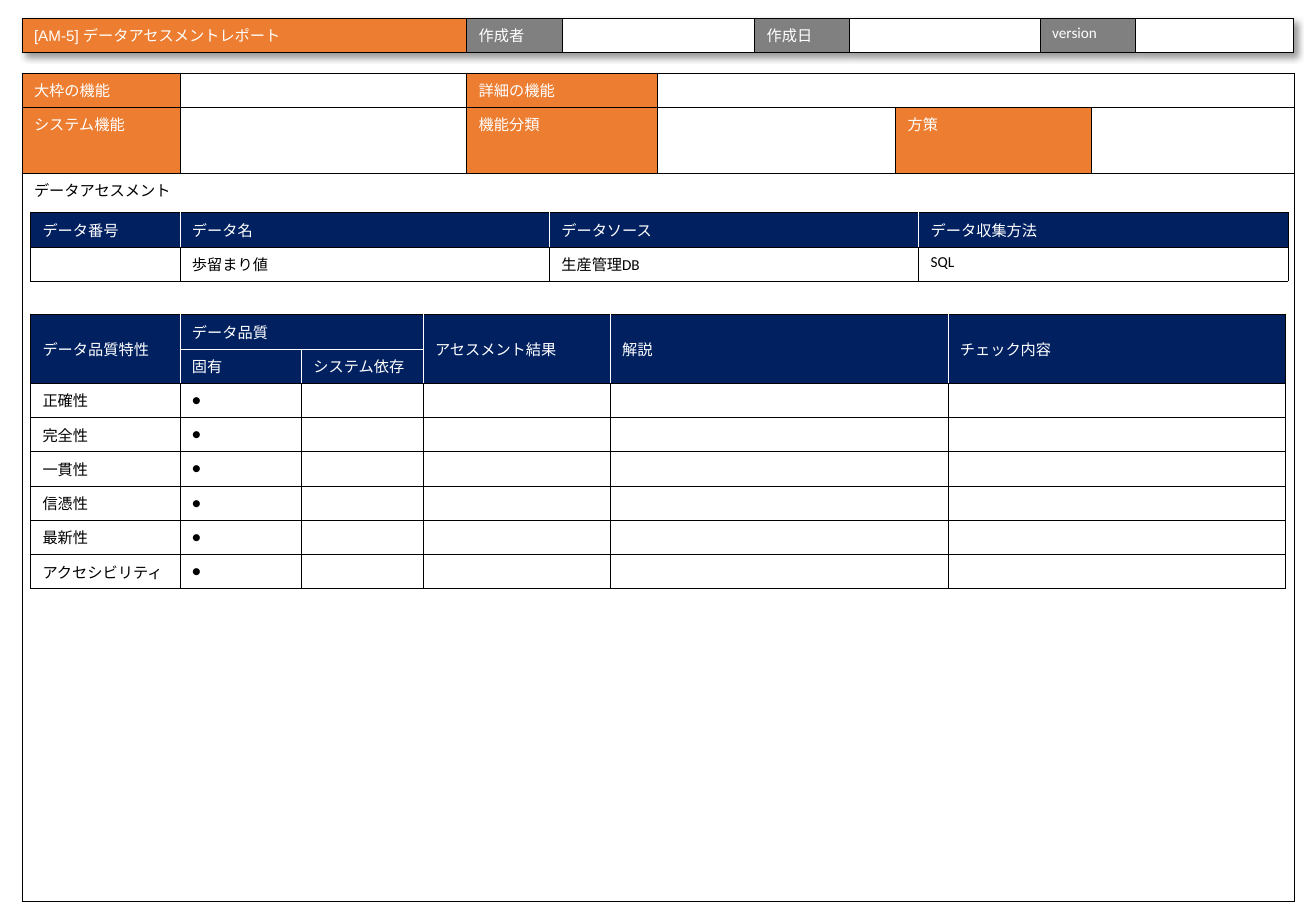
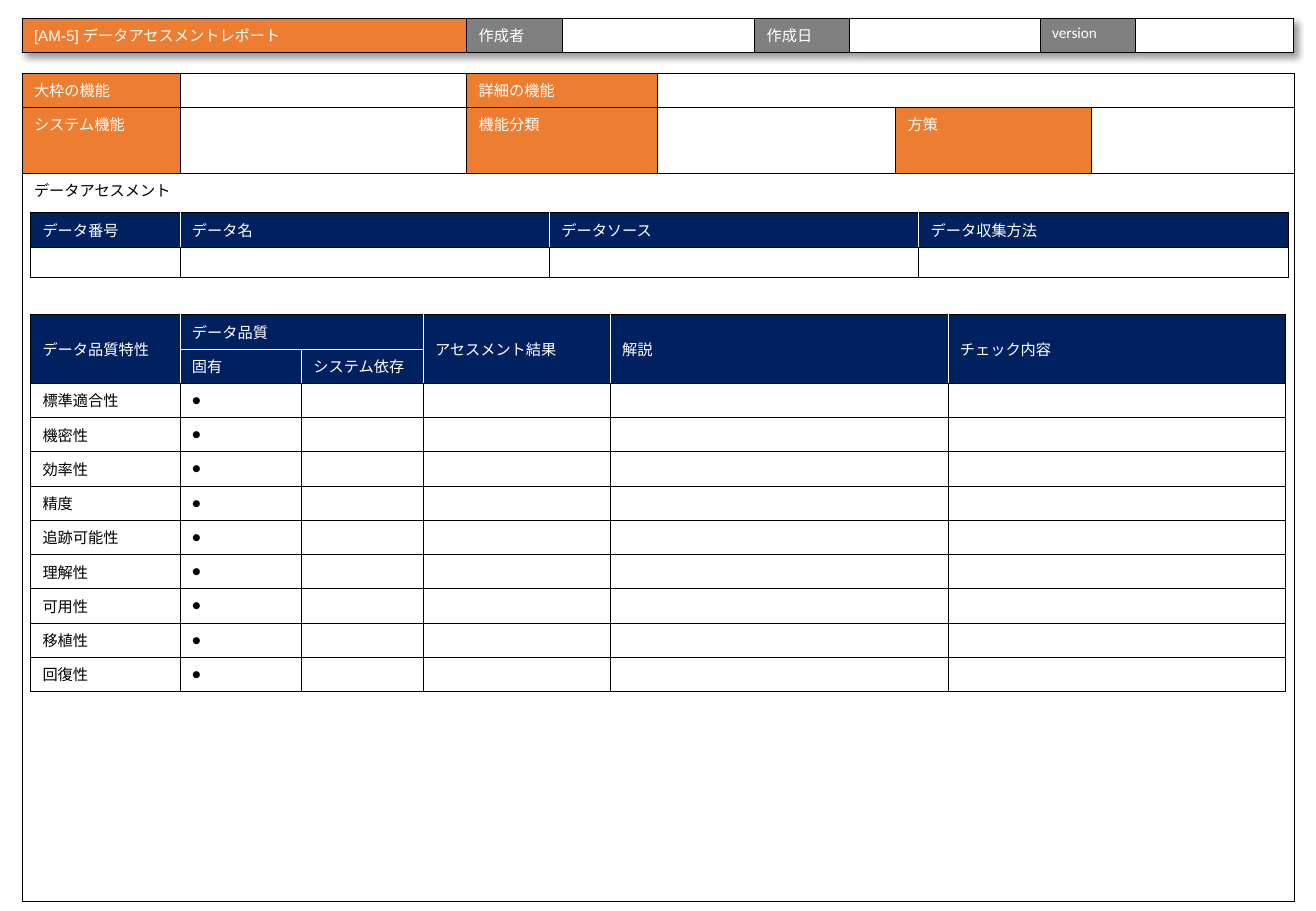
from dataclasses import dataclass
from typing import NamedTuple, Optional

import pptx
import pptx.dml.color
import pptx.enum.lang
import pptx.enum.text
import pptx.oxml
import pptx.oxml.ns
import pptx.shapes.graphfrm
import pptx.slide
import pptx.table
import pptx.util
from lxml import etree

Inches = pptx.util.Inches
Color = pptx.dml.color.RGBColor
Anchor = pptx.enum.text.MSO_ANCHOR
qn = pptx.oxml.ns.qn


@dataclass(frozen=True)
class Theme:
    orange: str = "ED7D31"
    gray: str = "808080"
    navy: str = "002060"
    white: str = "FFFFFF"
    black: str = "000000"
    font: str = "Calibri"
    title_font: str = "Arial"
    size: float = 9
    border: float = 0.25
    row: float = 0.28
    empty_row: float = 0.25


THEME = Theme()


class Edges(NamedTuple):
    L: str = THEME.black
    R: str = THEME.black
    T: str = THEME.black
    B: str = THEME.black


class Entry(NamedTuple):
    text: str = ""
    fill: Optional[str] = None
    color: str = THEME.black
    font: str = THEME.font
    rows: int = 1
    cols: int = 1
    anchor: Anchor = Anchor.TOP
    edges: Edges = Edges()


Row = list[Optional[Entry]]


@dataclass(frozen=True)
class Grid:
    left: float
    top: float
    widths: list[float]
    heights: list[float]
    rows: list[Row]


@dataclass(frozen=True)
class Report:
    data: list[str]
    traits: list[str]


REPORTS = [
    Report(["", "歩留まり値", "生産管理DB", "SQL"],
           ["正確性", "完全性", "一貫性", "信憑性", "最新性", "アクセシビリティ"]),
    Report([""] * 4,
           ["標準適合性", "機密性", "効率性", "精度", "追跡可能性",
            "理解性", "可用性", "移植性", "回復性"]),
]


def label(text: str, fill: str = THEME.orange, font: str = THEME.font) -> Entry:
    return Entry(text, fill, THEME.white, font)


def blank(cols: int = 1) -> Entry:
    return Entry(fill=THEME.white, cols=cols)


def mark_headers(rows: list[Row], anchor: Anchor) -> list[Row]:
    """Make navy headings with white inner edges and black outer edges."""
    def heading(entry: Entry, top: int, left: int) -> Entry:
        def edge(outer: bool) -> str:
            return THEME.black if outer else THEME.white

        edges = Edges(edge(left == 0), edge(left + entry.cols == len(rows[0])),
                      edge(top == 0), edge(top + entry.rows == len(rows)))
        return entry._replace(fill=THEME.navy, color=THEME.white,
                              anchor=anchor, edges=edges)

    return [[entry and heading(entry, top, left) for left, entry in enumerate(row)]
            for top, row in enumerate(rows)]


def title_grid() -> Grid:
    row: Row = [label("[AM-5] データアセスメントレポート", font=THEME.title_font)]
    for name in ("作成者", "作成日", "version"):
        row += [label(name, THEME.gray), blank()]
    return Grid(0.18, 0.15, [3.66, 0.79, 1.58, 0.78, 1.57, 0.78, 1.3],
                [THEME.row], [row])


def frame_grid() -> Grid:
    rows: list[Row] = [
        [label("大枠の機能"), blank(), label("詳細の機能"), blank(3), None, None],
        [label("システム機能"), blank(), label("機能分類"), blank(),
         label("方策"), blank()],
        [Entry("データアセスメント", THEME.white, cols=6)] + [None] * 5,
    ]
    return Grid(0.18, 0.6, [1.3, 2.36, 1.57, 1.96, 1.61, 1.67],
                [THEME.row, 0.54, 6], rows)


def data_grid(values: list[str]) -> Grid:
    names = ["データ番号", "データ名", "データソース", "データ収集方法"]
    header = mark_headers([[Entry(name) for name in names]], Anchor.TOP)
    last_height = THEME.row if any(values) else THEME.empty_row
    return Grid(0.25, 1.75, [1.23] + [3.04] * 3, [THEME.row, last_height],
                header + [[Entry(value) for value in values]])


def quality_grid(traits: list[str]) -> Grid:
    header = mark_headers([
        [Entry("データ品質特性", rows=2), Entry("データ品質", cols=2), None]
        + [Entry(name, rows=2) for name in ("アセスメント結果", "解説", "チェック内容")],
        [None, Entry("固有"), Entry("システム依存"), None, None, None],
    ], Anchor.MIDDLE)
    body: list[Row] = [[Entry(text, anchor=Anchor.MIDDLE)
                        for text in (trait, "●", "", "", "", "")]
                       for trait in traits]
    rows = header + body
    return Grid(0.25, 2.59, [1.23, 1, 1, 1.54, 2.78, 2.78],
                [THEME.row] * len(rows), rows)


def draw_edges(cell: pptx.table._Cell, edges: Edges) -> None:
    properties = cell._tc.get_or_add_tcPr()
    for side, color in edges._asdict().items():
        line = etree.SubElement(properties, qn(f"a:ln{side}"),
                                w=str(pptx.util.Pt(THEME.border)))
        solid = etree.SubElement(line, qn("a:solidFill"))
        etree.SubElement(solid, qn("a:srgbClr"), val=color)


def fill_cell(cell: pptx.table._Cell, entry: Entry) -> None:
    draw_edges(cell, entry.edges)
    if entry.fill:
        cell.fill.solid()
        cell.fill.fore_color.rgb = Color.from_string(entry.fill)
    else:
        cell.fill.background()
    cell.vertical_anchor = entry.anchor
    para = cell.text_frame.paragraphs[0]
    if not entry.text:
        etree.SubElement(para._p, qn("a:endParaRPr"), sz=str(int(THEME.size * 100)))
        return
    span = para.add_run()
    span.text = entry.text
    formats = {"name": entry.font, "size": pptx.util.Pt(THEME.size),
               "language_id": pptx.enum.lang.MSO_LANGUAGE_ID.JAPANESE}
    for name, value in formats.items():
        setattr(span.font, name, value)
    span.font.color.rgb = Color.from_string(entry.color)


def draw_grid(page: pptx.slide.Slide, grid: Grid) -> pptx.shapes.graphfrm.GraphicFrame:
    frame = page.shapes.add_table(
        len(grid.heights), len(grid.widths), Inches(grid.left), Inches(grid.top),
        Inches(sum(grid.widths)), Inches(sum(grid.heights)))
    table = frame.table
    table.first_row = table.horz_banding = False
    for column, width in zip(table.columns, grid.widths):
        column.width = Inches(width)
    for row, height in zip(table.rows, grid.heights):
        row.height = Inches(height)
    for top, entries in enumerate(grid.rows):
        for left, entry in enumerate(entries):
            if entry is None:
                continue
            bottom, right = top + entry.rows, left + entry.cols
            if entry.rows * entry.cols > 1:
                table.cell(top, left).merge(table.cell(bottom - 1, right - 1))
            for y in range(top, bottom):
                for x in range(left, right):
                    origin = (y, x) == (top, left)
                    fill_cell(table.cell(y, x),
                              entry if origin else entry._replace(text=""))
    return frame


def add_shadow(table: pptx.table.Table) -> None:
    effects = pptx.oxml.parse_xml(
        f'<a:effectLst {pptx.oxml.ns.nsdecls("a")}>'
        '<a:outerShdw blurRad="50800" dist="38100" dir="2700000" algn="tl">'
        f'<a:srgbClr val="{THEME.black}"><a:alpha val="40000"/></a:srgbClr>'
        '</a:outerShdw></a:effectLst>')
    table._tbl.tblPr.insert(0, effects)


def share_frame(page: pptx.slide.Slide) -> None:
    """Place the title band and outer frame on the layout of the page."""
    layout = page.slide_layout
    for placeholder in list(layout.placeholders):
        layout.shapes.element.remove(placeholder.element)
    band, frame = [draw_grid(page, grid) for grid in (title_grid(), frame_grid())]
    add_shadow(band.table)
    for part in (band, frame):
        layout.shapes.element.append(part.element)


def main() -> None:
    deck = pptx.Presentation()
    deck.slide_width, deck.slide_height = Inches(10.83), Inches(7.5)
    layout = deck.slide_layouts[6]
    pages = [deck.slides.add_slide(layout) for _ in REPORTS]
    share_frame(pages[0])
    for page, report in zip(pages, REPORTS):
        draw_grid(page, data_grid(report.data))
        draw_grid(page, quality_grid(report.traits))
    deck.save("out.pptx")


if __name__ == "__main__":
    main()
